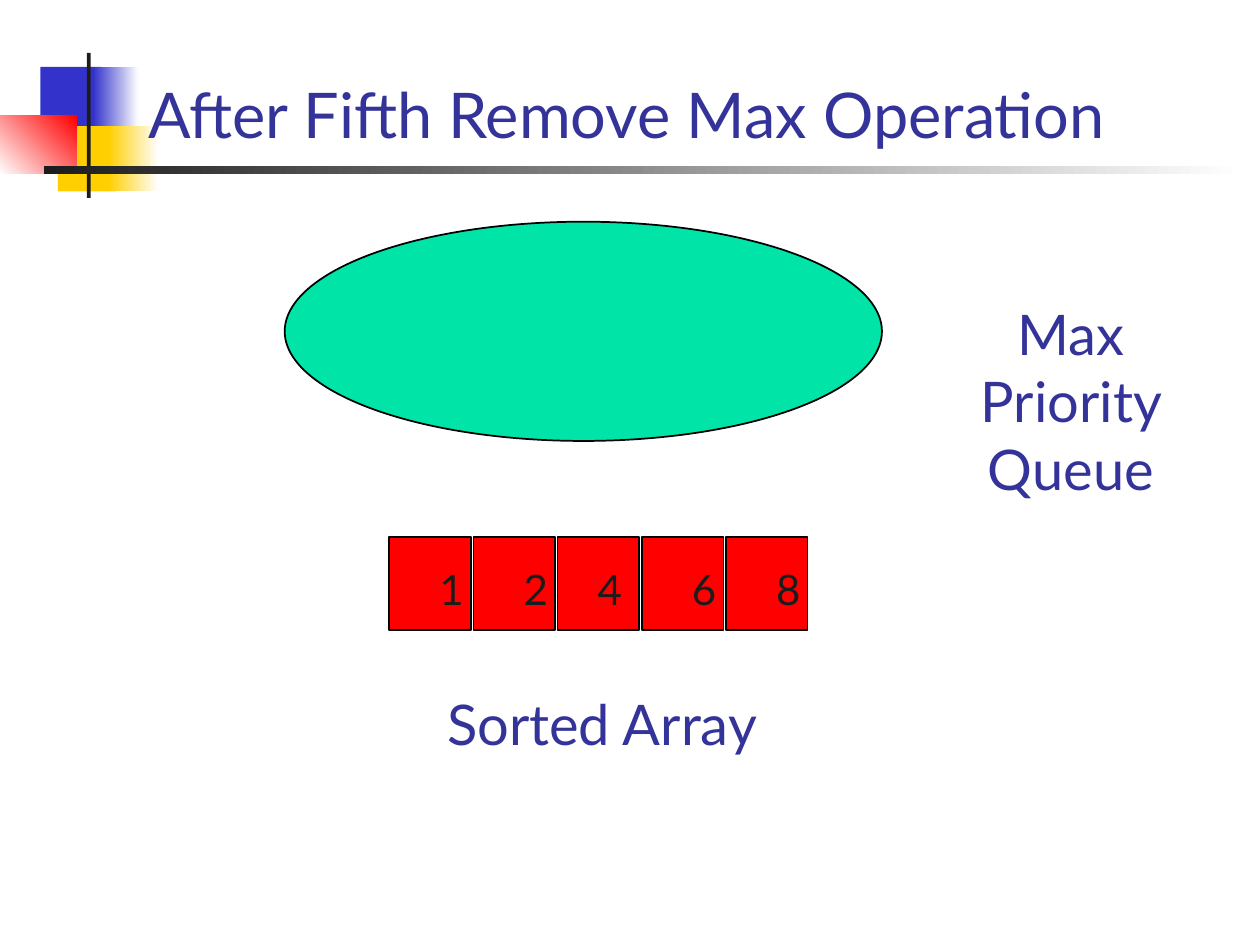
from dataclasses import dataclass

from pptx import Presentation
from pptx.dml.color import RGBColor
from pptx.enum.shapes import MSO_SHAPE as Preset
from pptx.enum.text import MSO_ANCHOR as Anchor, PP_ALIGN as Align
from pptx.util import Inches, Pt


@dataclass(frozen=True)
class Theme:
    font: str = "Lato"
    title_size: int = 36
    label_size: int = 32
    digit_size: int = 24
    heading: str = "333399"
    ink: str = "1C1C1C"
    white: str = "FFFFFF"
    blue: str = "3333CC"
    yellow: str = "FFCF01"
    red: str = "FF0000"
    green: str = "00E4A8"
    outline: str = "000000"


THEME = Theme()


def add_block(slide, box, colors, angle=0, preset=Preset.RECTANGLE, outlined=False):
    """Add a shape with a solid fill (one color) or a gradient (two colors)."""
    shape = slide.shapes.add_shape(preset, *map(Inches, box))
    shape.shadow.inherit = False
    if len(colors) == 1:
        shape.fill.solid()
        shape.fill.fore_color.rgb = RGBColor.from_string(colors[0])
    else:
        shape.fill.gradient()
        shape.fill.gradient_angle = angle
        for stop, color in zip(shape.fill.gradient_stops, colors):
            stop.color.rgb = RGBColor.from_string(color)
    if outlined:
        shape.line.color.rgb = RGBColor.from_string(THEME.outline)
        shape.line.width = Pt(1)
    else:
        shape.line.fill.background()


def add_text(slide, box, text, size, color=THEME.heading, align=Align.CENTER,
             anchor=Anchor.TOP):
    text_frame = slide.shapes.add_textbox(*map(Inches, box)).text_frame
    text_frame.word_wrap = True
    text_frame.vertical_anchor = anchor
    text_frame.text = text
    paragraph = text_frame.paragraphs[0]
    paragraph.alignment = align
    font = paragraph.runs[0].font
    font.name = THEME.font
    font.size = Pt(size)
    font.color.rgb = RGBColor.from_string(color)


def add_ornament(slide, left, top):
    """Add the colored squares and the crossed rules beside the title."""
    parts = [
        ((0.32, 0.11, 0.48, 0.52), [THEME.blue], 0),
        ((0.74, 0.11, 0.36, 0.52), [THEME.blue, THEME.white], 0),
        ((0.46, 0.58, 0.46, 0.52), [THEME.yellow], 0),
        ((0.86, 0.58, 0.4, 0.52), [THEME.yellow, THEME.white], 0),
        ((0, 0.5, 0.61, 0.46), [THEME.white, THEME.red], 45),
        ((0.69, 0, 0.03, 1.15), [THEME.ink], 0),
        ((0.35, 0.9, 9.51, 0.06), [THEME.ink, THEME.white], 0),
    ]
    for (x, y, width, height), colors, angle in parts:
        add_block(slide, (left + x, top + y, width, height), colors, angle)


def add_priority_queue(slide, left, top, width, height):
    """Add the empty queue with its label at the right."""
    add_block(slide, (left, top, width, height), [THEME.green],
              preset=Preset.OVAL, outlined=True)
    add_text(slide, (left + width + 0.25, top + 0.57, 2.5, 1.17),
             "Max Priority Queue", THEME.label_size)


def add_sorted_array(slide, left, top, width, height, digits):
    """Add a row of cells, their digits and the label below."""
    pitch = width / len(digits)
    cell_lefts = [left + index * pitch for index in range(len(digits))]
    for cell_left in cell_lefts:
        add_block(slide, (cell_left, top, pitch - 0.02, height), [THEME.red],
                  outlined=True)
    for cell_left, digit in zip(cell_lefts, digits):
        inset = 0.08 if digit == "4" else 0.16
        add_text(slide, (cell_left + inset, top + 0.16, pitch, 0.43), digit,
                 THEME.digit_size, THEME.ink)
    add_text(slide, (left - 1.81, top + 1.16, 7, 1.92), "Sorted Array",
             THEME.label_size)


def main():
    presentation = Presentation()
    presentation.slide_width = Inches(10)
    presentation.slide_height = Inches(7.5)
    slide = presentation.slides.add_slide(presentation.slide_layouts[6])
    add_ornament(slide, 0, 0.42)
    add_text(slide, (1.08, 0.25, 7.83, 1), "After Fifth Remove Max Operation",
             THEME.title_size, align=Align.LEFT, anchor=Anchor.BOTTOM)
    add_priority_queue(slide, 2.26, 1.76, 4.74, 1.74)
    add_sorted_array(slide, 3.09, 4.26, 3.34, 0.74, "12468")
    presentation.save("out.pptx")


if __name__ == "__main__":
    main()
